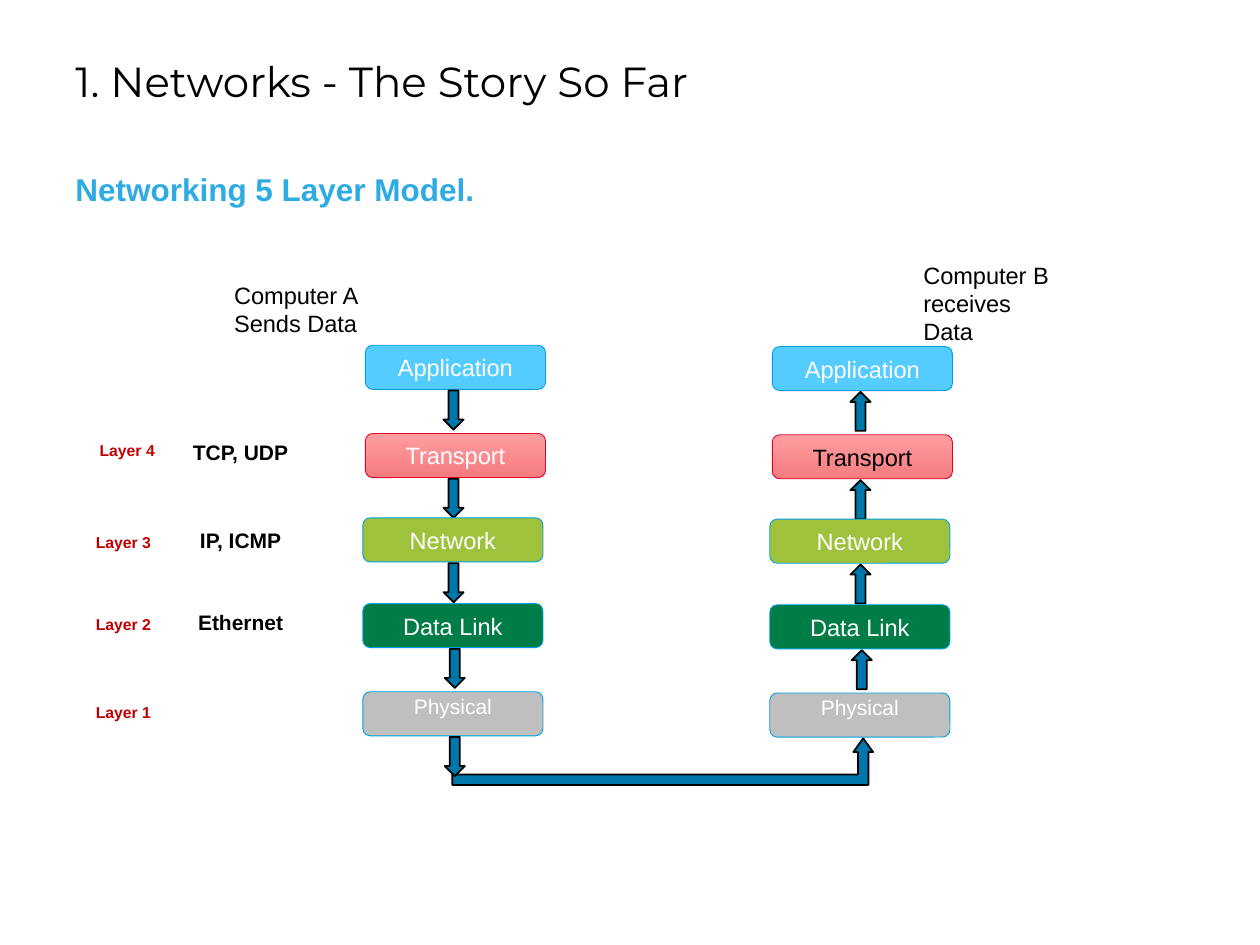
"""Build a slide showing data passing through the five-layer network model."""
import pptx
import pptx.dml.color
import pptx.enum.shapes
import pptx.enum.text
import pptx.util
from lxml import etree

RGBColor = pptx.dml.color.RGBColor
Inches = pptx.util.Inches
Pt = pptx.util.Pt
Shape = pptx.enum.shapes.MSO_SHAPE
Align = pptx.enum.text.PP_ALIGN
Anchor = pptx.enum.text.MSO_ANCHOR

BLACK = RGBColor(0x00, 0x00, 0x00)
WHITE = RGBColor(0xFF, 0xFF, 0xFF)
HEADING_BLUE = RGBColor(0x2E, 0xAB, 0xE2)
LABEL_RED = RGBColor(0xC0, 0x00, 0x00)
ARROW_BLUE = RGBColor(0x00, 0x77, 0xAA)
BORDER_BLUE = RGBColor(0x00, 0x9F, 0xE3)
BORDER_RED = RGBColor(0xE4, 0x03, 0x2E)
SKY = RGBColor(0x55, 0xCC, 0xFF)
PINK = RGBColor(0xFE, 0x9D, 0xA0)
ROSE = RGBColor(0xF5, 0x7C, 0x80)
LIME = RGBColor(0x9E, 0xC2, 0x3C)
GREEN = RGBColor(0x00, 0x7D, 0x46)
GREY = RGBColor(0xBF, 0xBF, 0xBF)

TITLE_FONT = {"name": "Montserrat", "size": Pt(24)}
HEADING_FONT = {"name": "Arial", "size": Pt(18), "bold": True}
BODY_FONT = {"name": "Arial", "size": Pt(13.5)}
SMALL_FONT = {"name": "Arial", "size": Pt(12)}
PROTOCOL_FONT = {**SMALL_FONT, "bold": True}
LAYER_FONT = {"name": "Arial", "size": Pt(9), "bold": True}
BOX_MARGINS = {"margin_left": Inches(0.07), "margin_right": Inches(0.07),
               "margin_top": Inches(0.04), "margin_bottom": Inches(0.04)}

CENTER = {"alignment": Align.CENTER}
TIGHT = {"alignment": Align.CENTER, "line_spacing": Pt(11.2)}

TEXTS = [
    (["1. Networks - The Story So Far"], (0.5, 0.39, 9.02, 0.5), TITLE_FONT, BLACK, {}),
    (["Networking 5 Layer Model."], (0.5, 1.3, 9.02, 0.4), HEADING_FONT, HEADING_BLUE,
     {"space_after": Pt(4.5)}),
    (["Computer A", "Sends Data"], (1.76, 2.18, 1.49, 0.61), BODY_FONT, BLACK, {}),
    (["Computer B", "receives Data"], (7.23, 2.02, 1.31, 0.86), BODY_FONT, BLACK, {}),
]
PROTOCOLS = [("TCP, UDP", 3.44), ("IP, ICMP", 4.14), ("Ethernet", 4.79)]
LAYERS = [("Layer 4", 0.53, 3.45), ("Layer 3", 0.5, 4.18),
          ("Layer 2", 0.5, 4.83), ("Layer 1", 0.5, 5.53)]

STACK = [
    ("Application", 2.9, 2.74, 3.52, [SKY], BORDER_BLUE),
    ("Transport", 2.9, 3.44, 3.52, [PINK, ROSE], BORDER_RED),
    ("Network", 2.88, 4.11, 3.52, [LIME], BORDER_BLUE),
    ("Data Link", 2.88, 4.79, 3.53, [GREEN], BORDER_BLUE),
    ("Physical", 2.88, 5.49, 3.53, [GREY], BORDER_BLUE),
]
RECEIVER_SHIFT = (3.23, 0.01)
BOX_SIZE = (1.43, 0.35)
ARROW_SIZE = (0.16, 0.31)
ARROW_DROP = 0.36
LINK = (3.59, 5.86, 3.34, 0.37)
LINK_ADJUSTMENTS = [0.225, 0.213, 0.296]


def set_attributes(target, values):
    for name, value in values.items():
        setattr(target, name, value)


def write(frame, lines, font, color, paragraph_format):
    frame.word_wrap = True
    for index, line in enumerate(lines):
        paragraph = frame.add_paragraph() if index else frame.paragraphs[0]
        paragraph.text = line
        set_attributes(paragraph, paragraph_format)
        set_attributes(paragraph.font, font)
        paragraph.font.color.rgb = color


def add_text(slide, lines, place, font, color, paragraph_format):
    box = slide.shapes.add_textbox(*map(Inches, place))
    write(box.text_frame, lines, font, color, paragraph_format)


def add_filled(slide, kind, place, fills, border, width):
    shape = slide.shapes.add_shape(kind, *map(Inches, place))
    shape.shadow.inherit = False
    if len(fills) > 1:
        shape.fill.gradient()
        shape.fill.gradient_angle = 270
        for stop, color in zip(shape.fill.gradient_stops, fills):
            stop.color.rgb = color
    else:
        shape.fill.solid()
        shape.fill.fore_color.rgb = fills[0]
    shape.line.color.rgb = border
    shape.line.width = Pt(width)
    return shape


def add_stack(slide, shift, arrow_kind, arrow_count, dark_labels=()):
    across, down = shift
    for index, (name, left, top, arrow_left, fills, border) in enumerate(STACK):
        box = add_filled(slide, Shape.ROUNDED_RECTANGLE,
                         (left + across, top + down, *BOX_SIZE), fills, border, 0.5)
        physical = name == "Physical"
        set_attributes(box.text_frame, BOX_MARGINS)
        box.text_frame.vertical_anchor = Anchor.TOP if physical else Anchor.MIDDLE
        write(box.text_frame, [name], SMALL_FONT if physical else BODY_FONT,
              BLACK if name in dark_labels else WHITE, TIGHT if physical else CENTER)
        if index < arrow_count:
            place = (arrow_left + across, top + ARROW_DROP + down, *ARROW_SIZE)
            add_filled(slide, arrow_kind, place, [ARROW_BLUE], BLACK, 1)


def main():
    presentation = pptx.Presentation()
    presentation.slide_width, presentation.slide_height = Inches(10), Inches(7.5)
    slide = presentation.slides.add_slide(presentation.slide_layouts[6])

    for text in TEXTS:
        add_text(slide, *text)
    for name, top in PROTOCOLS:
        add_text(slide, [name], (0.83, top, 2.16, 0.33), PROTOCOL_FONT, BLACK, CENTER)
    for name, left, top in LAYERS:
        add_text(slide, [name], (left, top, 0.96, 0.28), LAYER_FONT, LABEL_RED, CENTER)

    link = add_filled(slide, Shape.BENT_UP_ARROW, LINK, [ARROW_BLUE], BLACK, 1)
    for index, value in enumerate(LINK_ADJUSTMENTS):
        link.adjustments[index] = value
    add_stack(slide, (0, 0), Shape.DOWN_ARROW, len(STACK))
    add_stack(slide, RECEIVER_SHIFT, Shape.UP_ARROW, len(STACK) - 1, ["Transport"])

    presentation.save("out.pptx")


if __name__ == "__main__":
    main()
